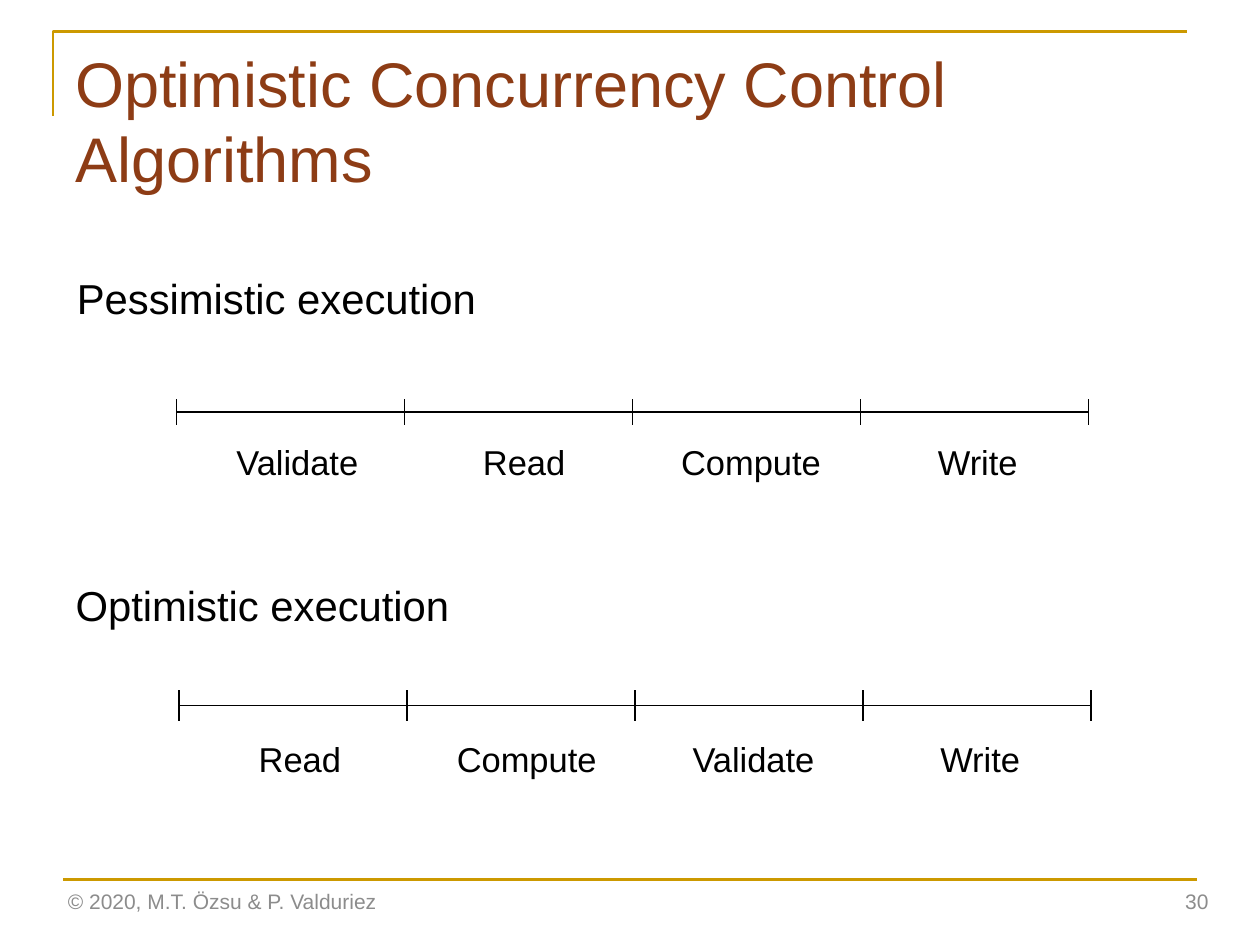
from pptx import Presentation
from pptx.dml.color import RGBColor
from pptx.enum.shapes import MSO_CONNECTOR
from pptx.enum.text import MSO_ANCHOR, PP_ALIGN
from pptx.oxml.ns import qn
from pptx.util import Inches, Pt
from lxml import etree

LINE = MSO_CONNECTOR.STRAIGHT
TOP, MIDDLE = MSO_ANCHOR.TOP, MSO_ANCHOR.MIDDLE
LEFT, CENTER, RIGHT = PP_ALIGN.LEFT, PP_ALIGN.CENTER, PP_ALIGN.RIGHT

GOLD = RGBColor(0xCC, 0x99, 0x00)
BROWN = RGBColor(0x8D, 0x3C, 0x15)
BLACK = RGBColor(0, 0, 0)
GRAY = RGBColor(0x8C, 0x8C, 0x8C)

STEP = 1.81
WIDTHS = {"Validate": 1.23, "Read": 0.86, "Compute": 1.34, "Write": 0.84}


def add_text(slide, text, box, size, color, align=LEFT, anchor=TOP,
             wrap=True, inset=(0.1, 0.05), spacing=None):
    """Add a text box with one paragraph; box is left, top, width, height."""
    frame = slide.shapes.add_textbox(*map(Inches, box)).text_frame
    frame.word_wrap = wrap
    frame.vertical_anchor = anchor
    frame.margin_left = frame.margin_right = Inches(inset[0])
    frame.margin_top = frame.margin_bottom = Inches(inset[1])
    para = frame.paragraphs[0]
    para.text = text
    para.alignment = align
    para.line_spacing = spacing
    para.font.name = "Arial"
    para.font.size = Pt(size)
    para.font.color.rgb = color


def add_line(slide, start, end, color=BLACK, width=1):
    """Add a straight line between two points."""
    line = slide.shapes.add_connector(LINE, *map(Inches, start + end))
    line.line.color.rgb = color
    line.line.width = Pt(width)
    etree.SubElement(line._element.spPr, qn("a:effectLst"))


def add_frame(slide):
    """Add the gold corner above the title and the rule above the footer."""
    pen = slide.shapes.build_freeform(Inches(0.42), Inches(0.92))
    pen.add_line_segments([(Inches(0.42), Inches(0.25)),
                           (Inches(9.42), Inches(0.25))], close=False)
    corner = pen.convert_to_shape()
    corner.shadow.inherit = False
    corner.fill.background()
    corner.line.color.rgb = GOLD
    corner.line.width = Pt(1.5)
    add_line(slide, (0.5, 6.98), (9.5, 6.98), GOLD, 1.5)


def add_phases(slide, left, axis, tick, top, names):
    """Add a time line with ticks between phases and a label for each."""
    add_line(slide, (left, axis), (left + 4 * STEP, axis))
    for i in range(len(names) + 1):
        x = left + i * STEP
        add_line(slide, (x, axis - tick), (x, axis + tick))
    for i, name in enumerate(names):
        width = WIDTHS[name]
        x = left + 0.96 + 1.8 * i - width / 2
        add_text(slide, name, (x, top, width, 0.43), 19.7, BLACK,
                 align=CENTER, wrap=False)


def add_head(slide, text, box):
    """Add the heading of one kind of execution."""
    add_text(slide, text, box, 23.9, BLACK, wrap=False,
             inset=(0.07, 0.03), spacing=1.02)


def main():
    """Build the slide and save it."""
    deck = Presentation()
    deck.slide_width, deck.slide_height = Inches(10), Inches(7.5)
    slide = deck.slides.add_slide(deck.slide_layouts[6])
    add_frame(slide)
    add_text(slide, "Optimistic Concurrency Control Algorithms",
             (0.5, 0.3, 9, 1.25), 36, BROWN)
    add_head(slide, "Pessimistic execution", (0.54, 2.13, 3.34, 0.44))
    add_head(slide, "Optimistic execution", (0.53, 4.56, 3.22, 0.46))
    add_phases(slide, 1.4, 3.27, 0.1, 3.45,
               ("Validate", "Read", "Compute", "Write"))
    add_phases(slide, 1.42, 5.6, 0.12, 5.81,
               ("Read", "Compute", "Validate", "Write"))
    add_text(slide, "© 2020, M.T. Özsu & P. Valduriez",
             (0.44, 6.95, 3.38, 0.4), 12, GRAY, anchor=MIDDLE)
    add_text(slide, "30", (7.44, 6.95, 2.25, 0.4), 12, GRAY,
             align=RIGHT, anchor=MIDDLE)
    deck.save("out.pptx")


main()
